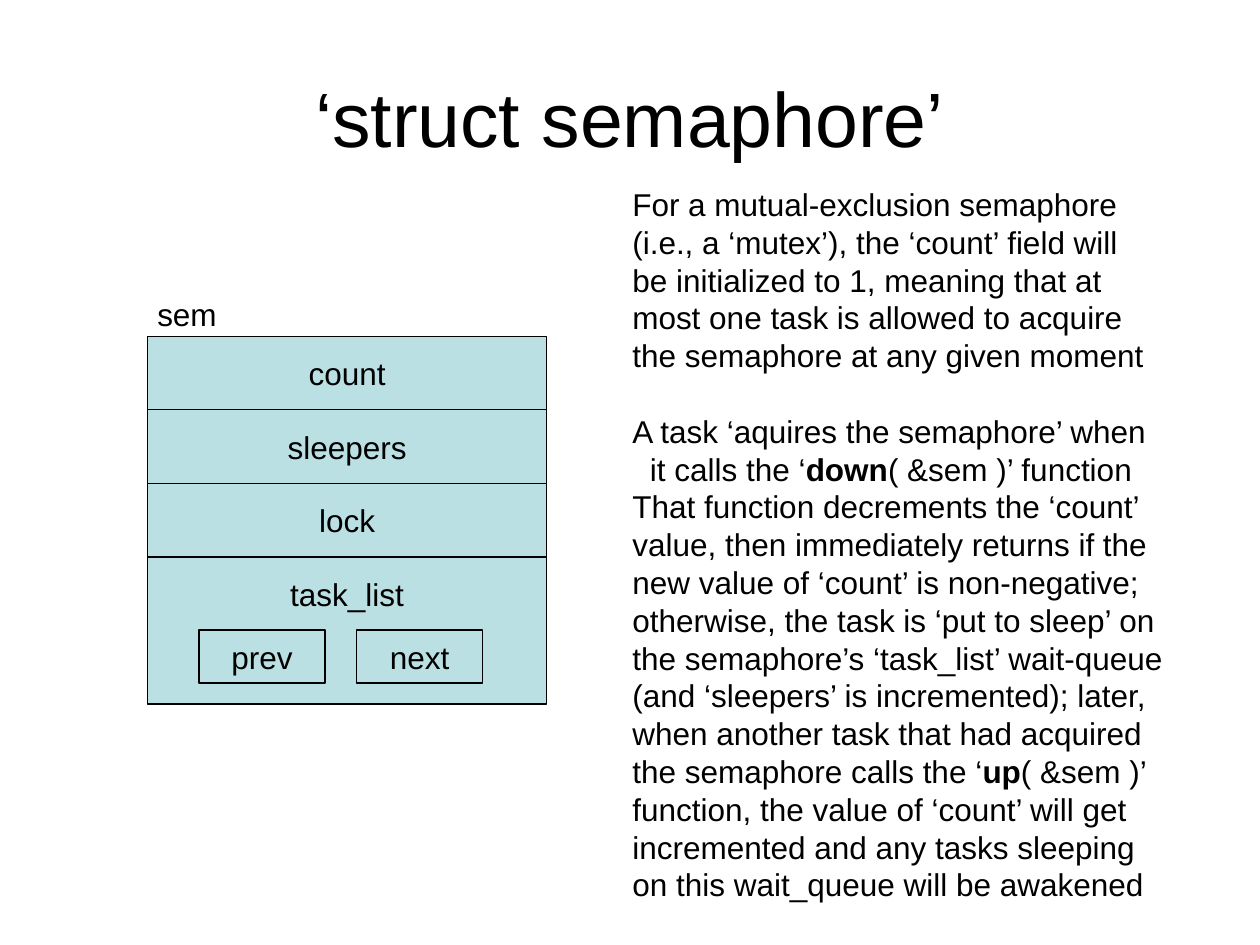
"""Build a slide that explains the fields and use of a kernel semaphore."""
from dataclasses import dataclass

from pptx import Presentation
from pptx.dml.color import RGBColor
from pptx.enum.shapes import MSO_SHAPE
from pptx.enum.text import MSO_ANCHOR, PP_ALIGN
from pptx.slide import Slide
from pptx.text.text import TextFrame, _Paragraph
from pptx.util import Inches, Pt

RECTANGLE = MSO_SHAPE.RECTANGLE
TOP, MIDDLE = MSO_ANCHOR.TOP, MSO_ANCHOR.MIDDLE
LEFT, CENTER = PP_ALIGN.LEFT, PP_ALIGN.CENTER


@dataclass(frozen=True)
class Theme:
    font: str = "Arial"
    ink: RGBColor = RGBColor(0x00, 0x00, 0x00)
    field_fill: RGBColor = RGBColor(0xBB, 0xE0, 0xE3)
    title_size: Pt = Pt(44)
    text_size: Pt = Pt(18)
    line_pitch: Pt = Pt(21.6)
    border: Pt = Pt(0.75)


@dataclass(frozen=True)
class Area:
    left: float
    top: float
    width: float
    height: float

    def lengths(self) -> tuple[Inches, Inches, Inches, Inches]:
        return Inches(self.left), Inches(self.top), Inches(self.width), Inches(self.height)


@dataclass(frozen=True)
class Field:
    label: str
    area: Area
    anchor: MSO_ANCHOR = MIDDLE
    inset_top: float = 0.05


@dataclass(frozen=True)
class Line:
    before: str
    function: str = ""
    after: str = ""
    indent: float = 0
    starts_block: bool = False


THEME = Theme()
STRUCT_LEFT, STRUCT_TOP, STRUCT_WIDTH = 1.17, 2.67, 3.17
ROW_HEIGHT = 1.75 / 3
POINTER_LEFT, POINTER_STEP = 1.58, 1.25

EXPLANATION = [
    Line("For a mutual-exclusion semaphore"),
    Line("(i.e., a ‘mutex’), the ‘count’ field will"),
    Line("be initialized to 1, meaning that at"),
    Line("most one task is allowed to acquire"),
    Line("the semaphore at any given moment"),
    Line("A task ‘aquires the semaphore’ when", starts_block=True),
    Line("it calls the ‘", "down", "( &sem )’ function", indent=0.14),
    Line("That function decrements the ‘count’"),
    Line("value, then immediately returns if the"),
    Line("new value of ‘count’ is non-negative;"),
    Line("otherwise, the task is ‘put to sleep’ on"),
    Line("the semaphore’s ‘task_list’ wait-queue"),
    Line("(and ‘sleepers’ is incremented); later,"),
    Line("when another task that had acquired"),
    Line("the semaphore calls the ‘", "up", "( &sem )’"),
    Line("function, the value of ‘count’ will get"),
    Line("incremented and any tasks sleeping"),
    Line("on this wait_queue will be awakened"),
]


def add_run(paragraph: _Paragraph, text: str, size: Pt, bold: bool = False) -> None:
    run = paragraph.add_run()
    run.text = text
    run.font.name = THEME.font
    run.font.size = size
    run.font.bold = bold
    run.font.color.rgb = THEME.ink


def add_label(slide: Slide, area: Area, text: str, size: Pt,
              anchor: MSO_ANCHOR = TOP, align: PP_ALIGN = LEFT) -> None:
    frame = slide.shapes.add_textbox(*area.lengths()).text_frame
    frame.word_wrap = False
    frame.vertical_anchor = anchor
    frame.paragraphs[0].alignment = align
    add_run(frame.paragraphs[0], text, size)


def add_field(slide: Slide, field: Field) -> None:
    cell = slide.shapes.add_shape(RECTANGLE, *field.area.lengths())
    cell.shadow.inherit = False
    cell.fill.solid()
    cell.fill.fore_color.rgb = THEME.field_fill
    cell.line.color.rgb = THEME.ink
    cell.line.width = THEME.border
    frame = cell.text_frame
    frame.word_wrap = False
    frame.vertical_anchor = field.anchor
    frame.margin_top = Inches(field.inset_top)
    frame.paragraphs[0].alignment = CENTER
    add_run(frame.paragraphs[0], field.label, THEME.text_size)


def write_line(frame: TextFrame, line: Line, first: bool) -> None:
    paragraph = frame.paragraphs[0] if first else frame.add_paragraph()
    paragraph.alignment = LEFT
    paragraph.line_spacing = THEME.line_pitch
    if line.starts_block:
        paragraph.space_before = THEME.line_pitch
    if line.indent:
        paragraph._p.get_or_add_pPr().set("marL", str(Inches(line.indent)))
    for text, bold in ((line.before, False), (line.function, True), (line.after, False)):
        if text:
            add_run(paragraph, text, THEME.text_size, bold)


def add_explanation(slide: Slide, area: Area, lines: list[Line]) -> None:
    frame = slide.shapes.add_textbox(*area.lengths()).text_frame
    frame.word_wrap = False
    for index, line in enumerate(lines):
        write_line(frame, line, first=index == 0)


def add_struct(slide: Slide) -> None:
    members = ("count", "sleepers", "lock")
    for row, member in enumerate(members):
        top = STRUCT_TOP + row * ROW_HEIGHT
        add_field(slide, Field(member, Area(STRUCT_LEFT, top, STRUCT_WIDTH, ROW_HEIGHT)))
    list_top = STRUCT_TOP + len(members) * ROW_HEIGHT
    list_area = Area(STRUCT_LEFT, list_top, STRUCT_WIDTH, 2 * ROW_HEIGHT)
    add_field(slide, Field("task_list", list_area, TOP, 0.14))
    for column, pointer in enumerate(("prev", "next")):
        left = POINTER_LEFT + column * POINTER_STEP
        add_field(slide, Field(pointer, Area(left, 5, 1, 0.42)))


def main() -> None:
    deck = Presentation()
    deck.slide_width, deck.slide_height = Inches(10), Inches(7.5)
    slide = deck.slides.add_slide(deck.slide_layouts[6])
    add_label(slide, Area(0.5, 0.3, 9, 1.25), "‘struct semaphore’", THEME.title_size, MIDDLE, CENTER)
    add_struct(slide)
    add_explanation(slide, Area(4.92, 1.42, 4.42, 5.8), EXPLANATION)
    add_label(slide, Area(1.15, 2.29, 0.67, 0.4), "sem", THEME.text_size)
    deck.save("out.pptx")


if __name__ == "__main__":
    main()
